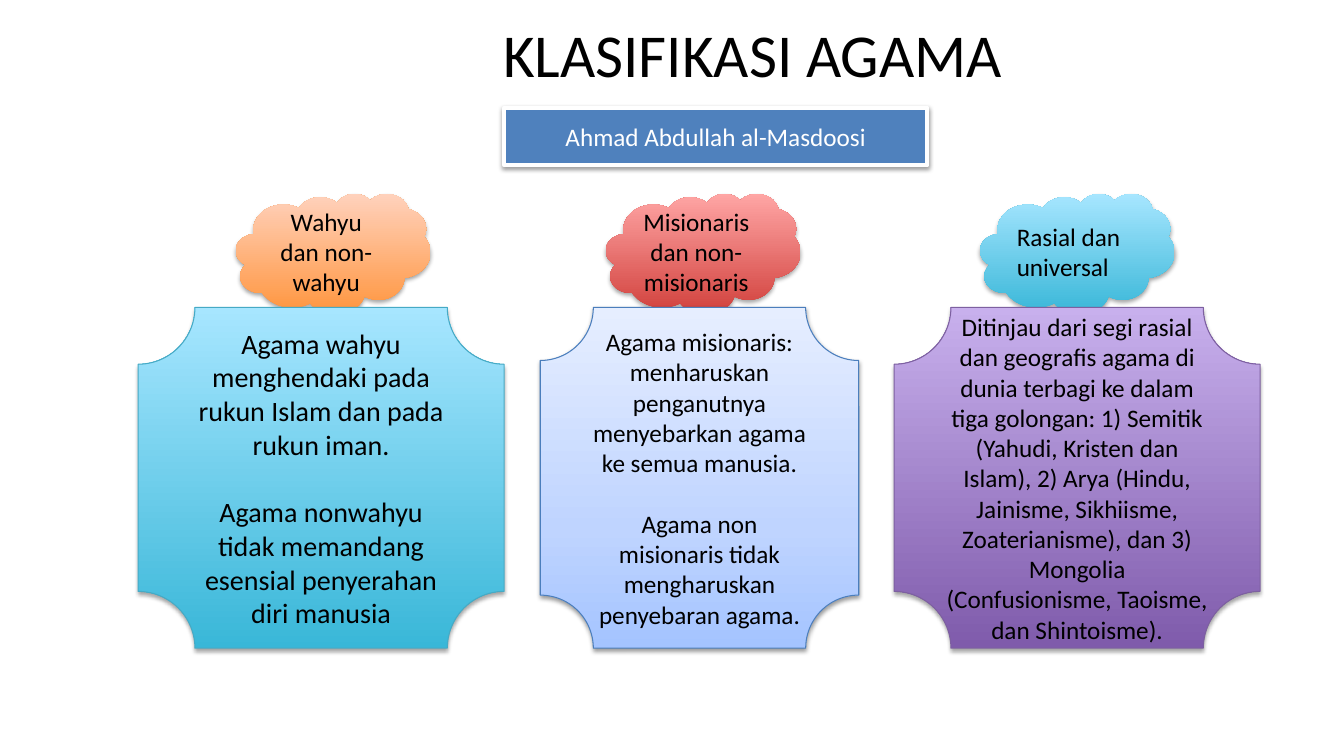
import copy

import pptx
import pptx.dml.color
import pptx.enum.shapes
import pptx.enum.text
import pptx.oxml
import pptx.oxml.ns
import pptx.util

RGBColor = pptx.dml.color.RGBColor
Shapes = pptx.enum.shapes.MSO_SHAPE
Align = pptx.enum.text.PP_ALIGN
Pt = pptx.util.Pt

BLACK = RGBColor(0x00, 0x00, 0x00)
WHITE = RGBColor(0xFF, 0xFF, 0xFF)
BLUE = RGBColor(0x4F, 0x81, 0xBD)
BLUE_EDGE = RGBColor(0x4B, 0x7E, 0xBC)
AQUA_EDGE = RGBColor(0x46, 0xAA, 0xC5)
PURPLE_EDGE = RGBColor(0x7D, 0x60, 0xA0)
# Gradient stops run from the bottom of a shape to its top
ORANGE_FADE = [(0, RGBColor(0xFF, 0x95, 0x3E)), (1, RGBColor(0xFF, 0xD2, 0xBD))]
RED_FADE = [(0, RGBColor(0xD1, 0x40, 0x3C)), (1, RGBColor(0xFF, 0xA6, 0xA5))]
AQUA_FADE = [(0, RGBColor(0x39, 0xB7, 0xD8)), (1, RGBColor(0xA7, 0xE6, 0xFF))]
PURPLE_FADE = [(0, RGBColor(0x7F, 0x5B, 0xAB)), (1, RGBColor(0xC8, 0xB0, 0xED))]
PALE_FADE = [(0, RGBColor(0xA4, 0xC4, 0xFF)), (0.35, RGBColor(0xBF, 0xD4, 0xFF)),
             (1, RGBColor(0xE6, 0xEE, 0xFF))]

deck = pptx.Presentation()
deck.slide_width = pptx.util.Inches(13.33)
deck.slide_height = pptx.util.Inches(7.5)
page = deck.slides.add_slide(deck.slide_layouts[6])

# Grid of 100 columns by 100 rows
COLUMN = deck.slide_width / 100
ROW = deck.slide_height / 100
CLOUD_TOP, CLOUD_WIDTH, CLOUD_HEIGHT = 25.6, 14.48, 16
PLAQUE_TOP, PLAQUE_HEIGHT = 40.67, 45.07


def write(box, texts, size, color=BLACK, align=Align.CENTER):
    """Fill a box with vertically centred paragraphs in one style."""
    frame = box.text_frame
    frame.word_wrap = True
    frame.vertical_anchor = pptx.enum.text.MSO_ANCHOR.MIDDLE
    frame.text = "\n".join(texts)
    for para in frame.paragraphs:
        para.alignment = align
        for span in para.runs:
            span.font.name = "Calibri"
            span.font.size = Pt(size)
            span.font.color.rgb = color


def add_panel(kind, grid, fade=None, edge=None, edge_width=0.75, drop=1.8, opacity=35):
    """Add a shape at (left, top, width, height) in grid units, with a soft shadow."""
    left, top, width, height = grid
    panel = page.shapes.add_shape(kind, round(left * COLUMN), round(top * ROW),
                                  round(width * COLUMN), round(height * ROW))
    if fade:
        panel.fill.gradient()
        panel.fill.gradient_angle = 90
        stop_list = panel._element.spPr.find(".//" + pptx.oxml.ns.qn("a:gsLst"))
        while len(stop_list) < len(fade):
            stop_list.append(copy.deepcopy(stop_list[-1]))
        for stop, (position, color) in zip(panel.fill.gradient_stops, fade):
            stop.position = position
            stop.color.rgb = color
    if edge:
        panel.line.color.rgb = edge
        panel.line.width = Pt(edge_width)
    else:
        panel.line.fill.background()
    panel.shadow.inherit = False
    effects = panel._element.spPr.find(pptx.oxml.ns.qn("a:effectLst"))
    effects.append(pptx.oxml.parse_xml(
        f'<a:outerShdw {pptx.oxml.ns.nsdecls("a")} blurRad="{Pt(3.1)}" dist="{Pt(drop)}" '
        'dir="5400000" rotWithShape="0"><a:srgbClr val="000000">'
        f'<a:alpha val="{opacity * 1000}"/></a:srgbClr></a:outerShdw>'))
    return panel


title = page.shapes.add_textbox(round(10.28 * COLUMN), round(2.13 * ROW),
                                round(91.5 * COLUMN), round(9.87 * ROW))
write(title, ["KLASIFIKASI AGAMA"], 43.5)

banner = add_panel(Shapes.RECTANGLE, (37.5, 14.27, 31.5, 7.6), edge=WHITE, edge_width=3,
                   drop=1.6, opacity=38)
banner.fill.solid()
banner.fill.fore_color.rgb = BLUE
write(banner, ["Ahmad Abdullah al-Masdoosi"], 18, WHITE)

# Cloud: left, fade, texts, alignment; plaque: left, width, fade, edge, drop, opacity, size, texts
classes = [
    ((17.55, ORANGE_FADE, ["Wahyu dan non-wahyu"], Align.CENTER),
     (10.28, 27.23, AQUA_FADE, AQUA_EDGE, 1.8, 35, 20,
      ["Agama wahyu menghendaki pada rukun Islam dan pada rukun iman.",
       "Agama nonwahyu tidak memandang esensial penyerahan diri manusia"])),
    ((45.08, RED_FADE, ["Misionaris dan non-misionaris"], Align.CENTER),
     (40.2, 23.7, PALE_FADE, BLUE_EDGE, 1.6, 38, 18,
      ["Agama misionaris: menharuskan penganutnya menyebarkan agama ke semua manusia.",
       "Agama non misionaris tidak mengharuskan penyebaran agama."])),
    ((72.92, AQUA_FADE, ["Rasial dan", "universal"], Align.LEFT),
     (66.53, 27.23, PURPLE_FADE, PURPLE_EDGE, 1.8, 35, 18,
      ["Ditinjau dari segi rasial dan geografis agama di dunia terbagi ke dalam tiga "
       "golongan: 1) Semitik (Yahudi, Kristen dan Islam), 2) Arya (Hindu, Jainisme, "
       "Sikhiisme, Zoaterianisme), dan 3) Mongolia (Confusionisme, Taoisme, dan "
       "Shintoisme)."])),
]
for (cloud_left, cloud_fade, label, align), plaque_row in classes:
    cloud = add_panel(Shapes.CLOUD, (cloud_left, CLOUD_TOP, CLOUD_WIDTH, CLOUD_HEIGHT), cloud_fade)
    write(cloud, label, 18, align=align)

    left, width, fade, edge, drop, opacity, size, texts = plaque_row
    plaque = add_panel(Shapes.PLAQUE, (left, PLAQUE_TOP, width, PLAQUE_HEIGHT), fade, edge,
                       drop=drop, opacity=opacity)
    write(plaque, texts, size)
    for para in plaque.text_frame.paragraphs[1:]:
        para.space_before = Pt(1.22 * size)

deck.save("out.pptx")
